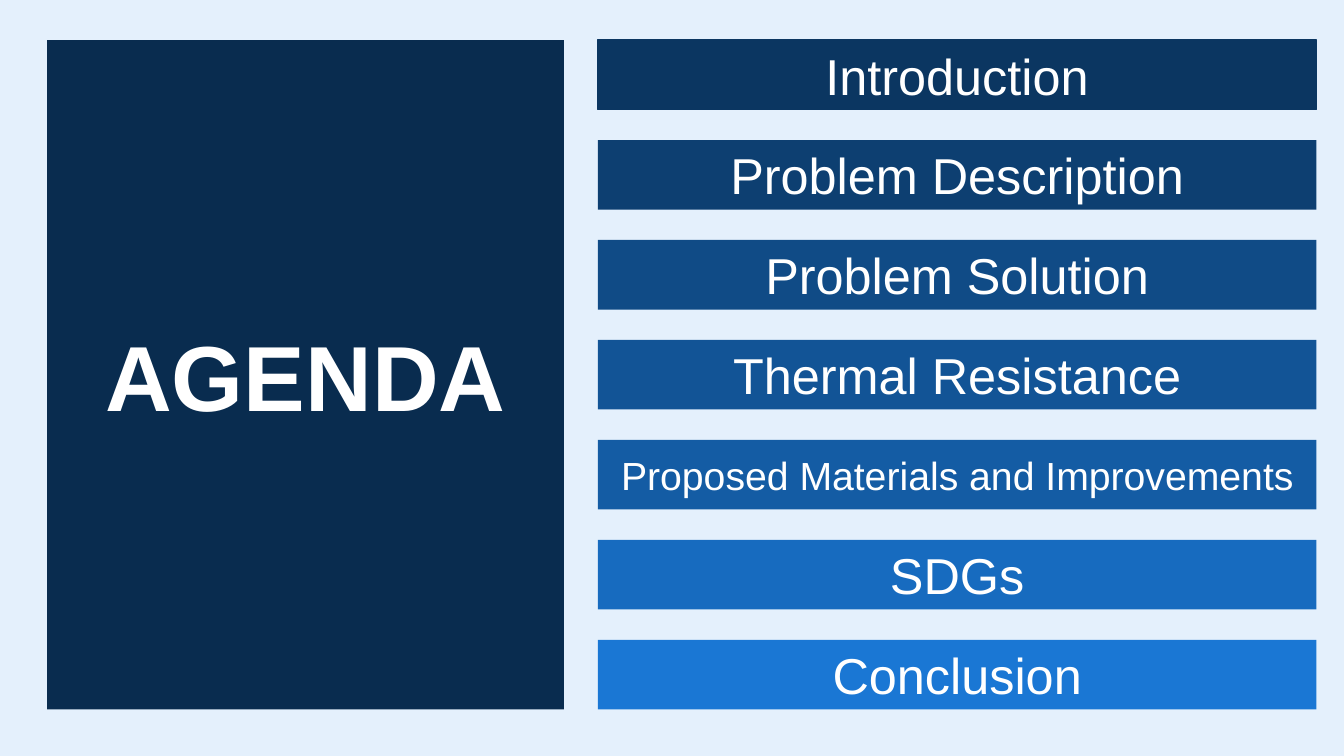
from pptx import Presentation
from pptx.dml.color import RGBColor as RGB
from pptx.enum.shapes import MSO_SHAPE as Shape
from pptx.enum.text import MSO_ANCHOR as Anchor, PP_ALIGN as Align
from pptx.util import Pt

TOP, HIGH, STEP = 28.6, 49.7, 71.4
TOPICS = [
    ("Introduction", "0B3661", 36),
    ("Problem Description", "0D3F71", 36),
    ("Problem Solution", "104B86", 36),
    ("Thermal Resistance", "125496", 36),
    ("Proposed Materials and Improvements", "145CA4", 28),
    ("SDGs", "176BBF", 36),
    ("Conclusion", "1A77D4", 36),
]


def paint(fill, color):
    fill.solid()
    fill.fore_color.rgb = RGB.from_string(color)


def add_box(slide, text, area, color, size, bold=False):
    box = slide.shapes.add_shape(Shape.RECTANGLE, *map(Pt, area))
    box.shadow.inherit = False
    paint(box.fill, color)
    box.line.fill.background()
    frame = box.text_frame
    frame.word_wrap = True
    frame.vertical_anchor = Anchor.MIDDLE
    para = frame.paragraphs[0]
    para.text = text
    para.alignment = Align.CENTER
    font = para.font
    font.name, font.size, font.bold = "Arial", Pt(size), bold
    paint(font.fill, "FFFFFF")
    return box


def add_topics(slide):
    bars = []
    for row, (text, color, size) in enumerate(TOPICS):
        area = (427, TOP + row * STEP, 513.4, HIGH)
        bars.append(add_box(slide, text, area, color, size))
    edge = bars[0].line
    paint(edge.fill, TOPICS[0][1])
    edge.width = Pt(1)


def main():
    deck = Presentation()
    deck.slide_width, deck.slide_height = Pt(960), Pt(540)
    slide = deck.slides.add_slide(deck.slide_layouts[6])
    paint(slide.background.fill, "E4F0FC")
    tall = (len(TOPICS) - 1) * STEP + HIGH
    add_box(slide, "AGENDA", (33.6, TOP, 369.2, tall), "092C4F", 66, True)
    add_topics(slide)
    deck.save("out.pptx")


if __name__ == "__main__":
    main()
